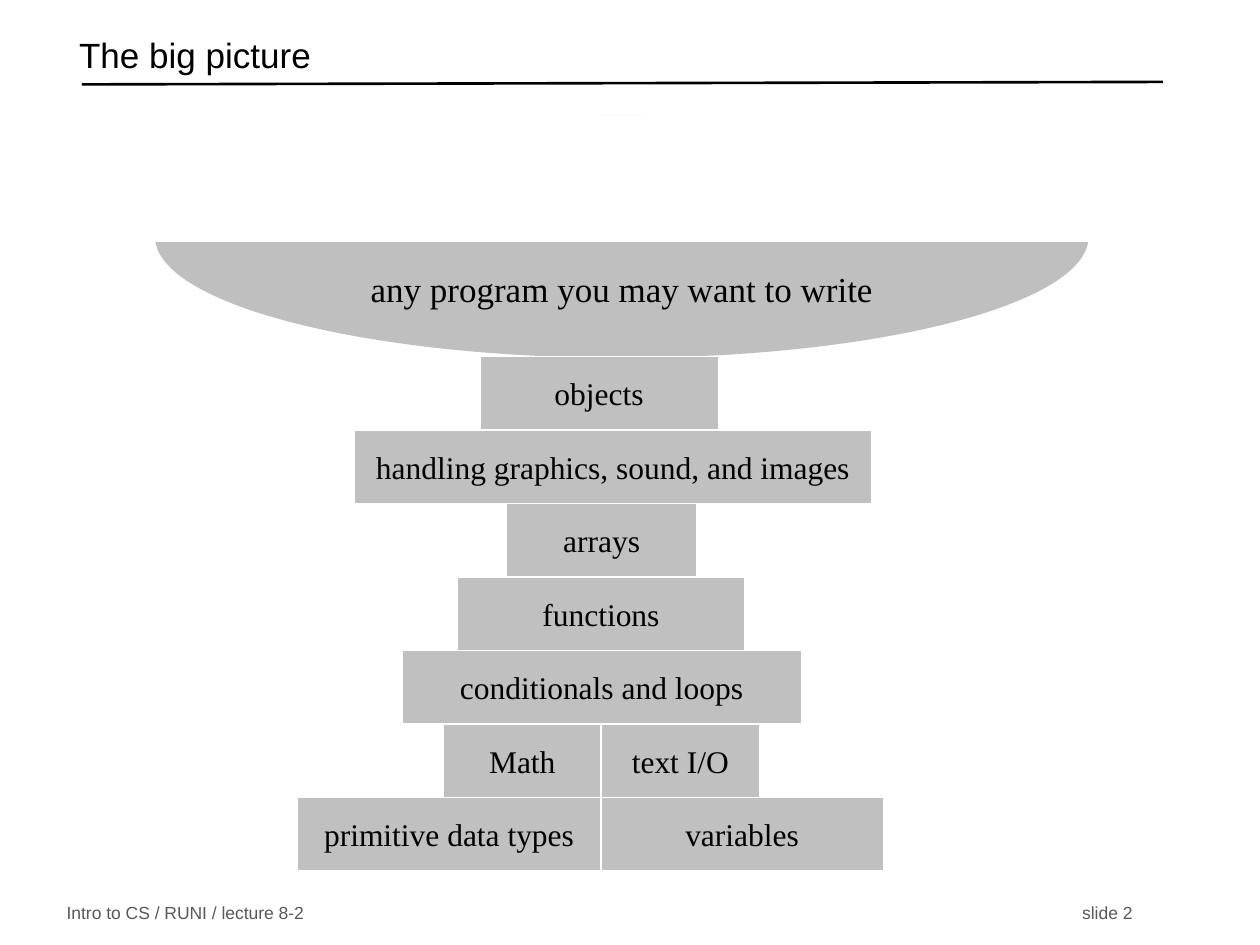
from dataclasses import dataclass

import pptx
import pptx.dml.color
import pptx.enum.shapes
import pptx.enum.text
import pptx.oxml.ns
import pptx.util
from lxml import etree
from pptx.util import Inches

RGBColor = pptx.dml.color.RGBColor
SHAPES = pptx.enum.shapes.MSO_SHAPE
ALIGN = pptx.enum.text.PP_ALIGN
BLACK = RGBColor(0x00, 0x00, 0x00)
WHITE = RGBColor(0xFF, 0xFF, 0xFF)
BLOCK_GRAY = RGBColor(0xC0, 0xC0, 0xC0)
BOWL_GRAY = RGBColor(0x80, 0x80, 0x80)
FOOTER_GRAY = RGBColor(0x59, 0x59, 0x59)

TOWER_TOP = 2.83
ROW_HEIGHT = 3.5 / 6
qn = pptx.oxml.ns.qn


@dataclass
class Block:
    label: str
    row: int
    left: float
    width: float


BLOCKS = [
    Block("functions", 3, 3.63, 2.28),
    Block("handling graphics, sound, and images", 1, 2.81, 4.11),
    Block("arrays", 2, 4.02, 1.51),
    Block("conditionals and loops", 4, 3.19, 3.17),
    Block("Math", 5, 3.52, 1.25),
    Block("text I/O", 5, 4.77, 1.26),
    Block("variables", 6, 4.77, 2.24),
    Block("primitive data types", 6, 2.36, 2.41),
]
TOP_BLOCK = Block("objects", 0, 3.81, 1.89)


def write(shape, text: str, font: str, size: int, color: RGBColor,
          align=ALIGN.LEFT, wrap: bool = False):
    frame = shape.text_frame
    frame.text = text
    frame.word_wrap = wrap
    frame.vertical_anchor = pptx.enum.text.MSO_ANCHOR.MIDDLE
    para = frame.paragraphs[0]
    para.alignment = align
    for span in para.runs:
        span.font.name = font
        span.font.size = pptx.util.Pt(size)
        span.font.color.rgb = color
    return para


def add_filled(page, kind, left: float, top: float, width: float,
               height: float, fill: RGBColor):
    shape = page.shapes.add_shape(
        kind, Inches(left), Inches(top), Inches(width), Inches(height))
    shape.shadow.inherit = False
    shape.fill.solid()
    shape.fill.fore_color.rgb = fill
    shape.line.fill.background()
    return shape


def add_block(page, block: Block) -> None:
    top = TOWER_TOP + block.row * ROW_HEIGHT
    shape = add_filled(page, SHAPES.RECTANGLE, block.left, top,
                       block.width, ROW_HEIGHT, BLOCK_GRAY)
    shape.line.color.rgb = WHITE
    shape.line.width = pptx.util.Pt(0.75)
    write(shape, block.label, "Times New Roman", 18, BLACK, ALIGN.CENTER)


def add_header(page) -> None:
    rule = page.shapes.add_connector(
        pptx.enum.shapes.MSO_CONNECTOR.STRAIGHT,
        Inches(0.65), Inches(0.67), Inches(9.23), Inches(0.65))
    rule.line.color.rgb = BLACK
    rule.line.width = pptx.util.Pt(1.5)
    etree.SubElement(rule._element.spPr, qn("a:effectLst"))
    title = page.shapes.add_textbox(
        Inches(0.53), Inches(0.22), Inches(8.6), Inches(0.5))
    para = write(title, "The big picture", "Arial", 20, BLACK, wrap=True)
    para.line_spacing = 0.7


def add_footer(page) -> None:
    box = page.shapes.add_textbox(
        Inches(0.43), Inches(7.14), Inches(8.71), Inches(0.21))
    para = write(box, "Intro to CS / RUNI / lecture 8-2\tslide 2",
                 "Arial", 10, FOOTER_GRAY, wrap=True)
    # Tab stop for the slide number
    tabs = etree.SubElement(para._p.get_or_add_pPr(), qn("a:tabLst"))
    etree.SubElement(tabs, qn("a:tab"), pos=str(Inches(8.06)), algn="l")


def add_bowl(page) -> None:
    bowl = add_filled(page, SHAPES.OVAL, 1.23, 0.92, 7.41, 1.92, BOWL_GRAY)
    color = bowl._element.spPr.find(qn("a:solidFill"))[0]
    etree.SubElement(color, qn("a:alpha"), val="50000")
    write(bowl, "any program you may want to write",
          "Times New Roman", 20, BLACK, ALIGN.CENTER)
    # Push the label into the lower half
    bowl.text_frame.margin_top = Inches(0.82)
    bowl.text_frame.margin_bottom = 0
    # White cover hides the upper half of the ellipse
    add_filled(page, SHAPES.RECTANGLE, 0.17, 0.92, 9.67, 1, WHITE)


def main() -> None:
    deck = pptx.Presentation()
    deck.slide_width = Inches(10)
    deck.slide_height = Inches(7.5)
    page = deck.slides.add_slide(deck.slide_layouts[6])
    add_header(page)
    add_footer(page)
    # Tower of topics, with the bowl resting on top
    for block in BLOCKS:
        add_block(page, block)
    add_bowl(page)
    add_block(page, TOP_BLOCK)
    deck.save("out.pptx")


if __name__ == "__main__":
    main()
